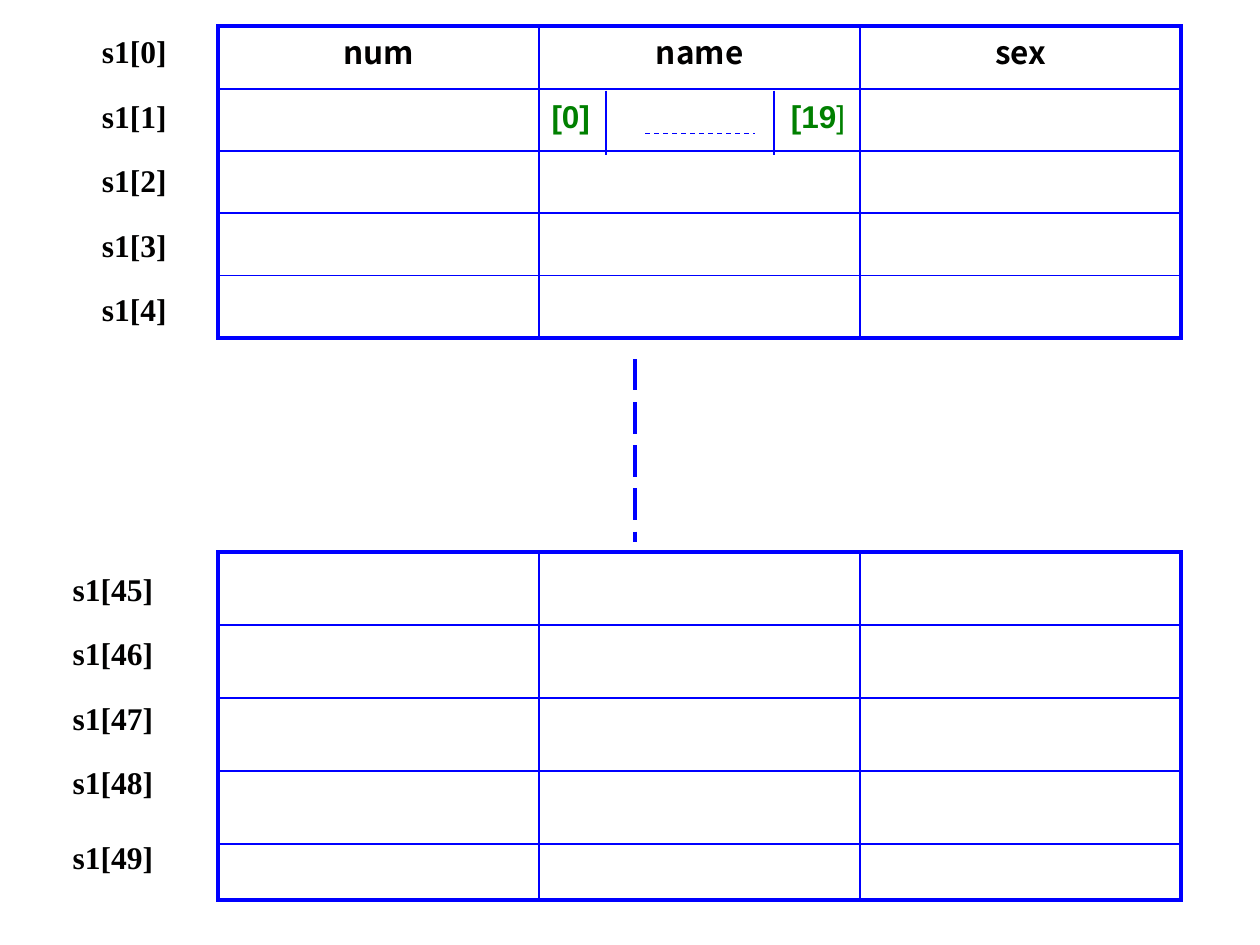
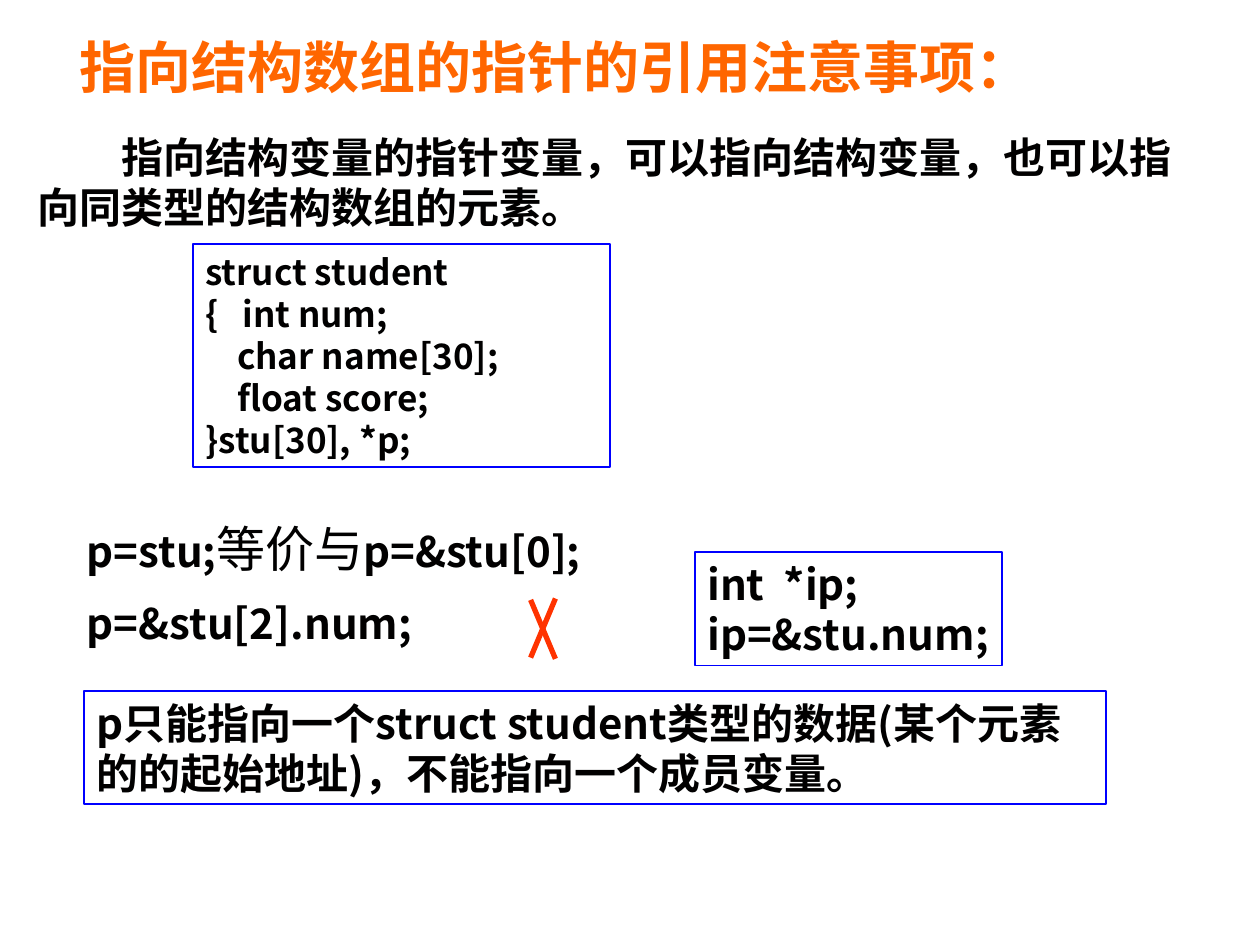
from itertools import accumulate

from lxml import etree
from pptx import Presentation
from pptx.dml.color import RGBColor
from pptx.enum import dml, shapes, text
from pptx.oxml import ns
from pptx.util import Pt

COLORS = {"ink": "010000", "grid": "0000FF", "index": "008000",
          "title": "FF6600", "cross": "FF3300"}
SANS, SERIF, ARIAL = "Noto Sans CJK SC", "Times New Roman", "Arial"
BASE = {"name": SANS, "size": 24, "bold": True, "color": "ink"}
LABEL = {"name": SERIF, "size": 18}
HEADER = {"size": 18}
INDEX = {"name": ARIAL, "size": 18, "color": "index"}
CODE = {"size": 20}
PLAIN = {"bold": False}

FIELDS = ["num", "name", "sex"]
INDEX_SPANS = [("[0]\t[19", INDEX), ("]", INDEX | PLAIN)]
INDEX_TOP, INDEX_TAB = 52.1, 136.8
GRID_LEFT, FIELD_WIDTH, HEADER_HEIGHT = 124.7, 183.4, 35.57
GRIDS = [
    {"top": 15.1, "rows": [HEADER_HEIGHT] * 5, "first": 0, "label_left": 51.1,
     "label_width": 51.5, "label_tops": [15 + 36.8 * i for i in range(5)]},
    {"top": 315.4, "rows": [41.76] * 4 + [31.7], "first": 45, "label_left": 34.4,
     "label_width": 60.5, "label_tops": [322.1 + 36.8 * i for i in range(4)] + [475.2]},
]
MARKS = [
    ((363, 205.2), (363, 309.6), 2.25, dml.MSO_LINE.LONG_DASH),
    ((346.3, 51.8), (346.3, 88.6), 0.75, None),
    ((368.6, 76.3), (431.3, 76.3), 0.75, dml.MSO_LINE.DASH),
    ((442.3, 51.8), (442.3, 88.6), 0.75, None),
]

TITLE = "指向结构数组的指针的引用注意事项："
INTRO = "指向结构变量的指针变量，可以指向结构变量，也可以指向同类型的结构数组的元素。"
STRUCT = ["struct student", "{   int num;", "    char name[30];",
          "    float score;", "}stu[30], *p;"]
RULE = "p只能指向一个struct student类型的数据(某个元素的的起始地址)，不能指向一个成员变量。"
EQUIVALENT = [("p=stu;", {}), ("等价与", PLAIN | {"size": 28}), ("p=&stu[0];", {})]
NOTES = [
    {"at": (14.4, 71.6, 671.8, 64.8), "lines": [[(INTRO, {})]], "indent": 48},
    {"at": (110.2, 139.5, 238.3, 127.4), "lines": [[(line, CODE)] for line in STRUCT],
     "framed": True},
    {"at": (48.2, 394.9, 583.9, 64.8), "lines": [[(RULE, {})]], "framed": True},
    {"at": (42.5, 292.6, 339.8, 41), "lines": [EQUIVALENT]},
    {"at": (42.5, 337.7, 222.5, 36), "lines": [[("p=&stu[2].num;", {})]]},
    {"at": (397.1, 315.5, 175.7, 64.8), "framed": True, "wrap": False,
     "lines": [[("int  *ip;", {})], [("ip=&stu.num;", {})]]},
]
CROSS_LINES = [((303.8, 344.2), (316.8, 375.1)), ((316.8, 343.4), (303.8, 374.4))]


def points(values):
    return [Pt(value) for value in values]


def rgb(name):
    return RGBColor.from_string(COLORS[name])


def write(para, spans):
    for content, changes in spans:
        span = para.add_run()
        span.text = content
        look = BASE | changes
        span.font.color.rgb = rgb(look["color"])
        for key, value in {"name": look["name"], "size": Pt(look["size"]),
                           "bold": look["bold"]}.items():
            setattr(span.font, key, value)
        east = etree.SubElement(span.font._element, ns.qn("a:ea"))
        east.set("typeface", look["name"])


def fill_frame(frame, lines, wrap=True, indent=0, tab=0, align=text.PP_ALIGN.LEFT):
    for key, value in {"word_wrap": wrap, "auto_size": text.MSO_AUTO_SIZE.NONE,
                       "vertical_anchor": text.MSO_ANCHOR.TOP}.items():
        setattr(frame, key, value)
    for number, spans in enumerate(lines):
        para = frame.add_paragraph() if number else frame.paragraphs[0]
        para.alignment = align
        props = para._p.get_or_add_pPr()
        if indent:
            props.set("indent", str(Pt(indent)))
        if tab:
            tabs = etree.SubElement(props, ns.qn("a:tabLst"))
            etree.SubElement(tabs, ns.qn("a:tab"), pos=str(Pt(tab)), algn="l")
        write(para, spans)


def add_note(page, at, lines, framed=False, **layout):
    if framed:
        box = page.shapes.add_shape(shapes.MSO_SHAPE.RECTANGLE, *points(at))
        box.shadow.inherit = False
        box.fill.background()
        box.line.color.rgb = rgb("grid")
        box.line.width = Pt(1)
    else:
        box = page.shapes.add_textbox(*points(at))
    fill_frame(box.text_frame, lines, **layout)


def add_line(page, start, end, width, dash=None, color="grid", cap="flat"):
    line = page.shapes.add_connector(shapes.MSO_CONNECTOR.STRAIGHT,
                                     *points(start + end))
    line.line.color.rgb = rgb(color)
    line.line.width = Pt(width)
    if dash:
        line.line.dash_style = dash
    line.line._get_or_add_ln().set("cap", cap)
    etree.SubElement(line._element.spPr, ns.qn("a:effectLst"))


def add_grid(page, grid):
    across = [GRID_LEFT + FIELD_WIDTH * i for i in range(len(FIELDS) + 1)]
    down = list(accumulate(grid["rows"], initial=grid["top"]))
    rows = [((across[0], y), (across[-1], y)) for y in down]
    columns = [((x, down[0]), (x, down[-1])) for x in across]
    for lines in (rows, columns):
        for ends in lines:
            outer = ends in (lines[0], lines[-1])
            add_line(page, *ends, 2.25 if outer else 1, cap="sq")
    for number, top in enumerate(grid["label_tops"], grid["first"]):
        add_note(page, (grid["label_left"], top, grid["label_width"], 28.8),
                 [[(f"s1[{number}]", LABEL)]], wrap=False)


def build_array_page(deck):
    page = deck.slides.add_slide(deck.slide_layouts[6])
    lefts = [GRID_LEFT + FIELD_WIDTH * i for i in range(len(FIELDS))]
    add_note(page, (lefts[1], INDEX_TOP, FIELD_WIDTH, HEADER_HEIGHT),
             [INDEX_SPANS], tab=INDEX_TAB)
    for left, field in zip(lefts, FIELDS):
        add_note(page, (left, GRIDS[0]["top"], FIELD_WIDTH, HEADER_HEIGHT),
                 [[(field, HEADER)]], align=text.PP_ALIGN.CENTER)
    for grid in GRIDS:
        add_grid(page, grid)
    for mark in MARKS:
        add_line(page, *mark)


def build_pointer_page(deck):
    page = deck.slides.add_slide(deck.slide_layouts[5])
    title = page.shapes.title
    place = zip(("left", "top", "width", "height"), points((31, 15.1, 575.3, 46.1)))
    for key, value in place:
        setattr(title, key, value)
    fill_frame(title.text_frame, [[(TITLE, {"size": 32, "color": "title"})]])
    title.text_frame.margin_left = Pt(14.4)
    for note in NOTES:
        add_note(page, **note)
    for ends in CROSS_LINES:
        add_line(page, *ends, 3, color="cross", cap="sq")


def main():
    deck = Presentation()
    deck.slide_width, deck.slide_height = points((720, 540))
    build_array_page(deck)
    build_pointer_page(deck)
    deck.save("out.pptx")


if __name__ == "__main__":
    main()
